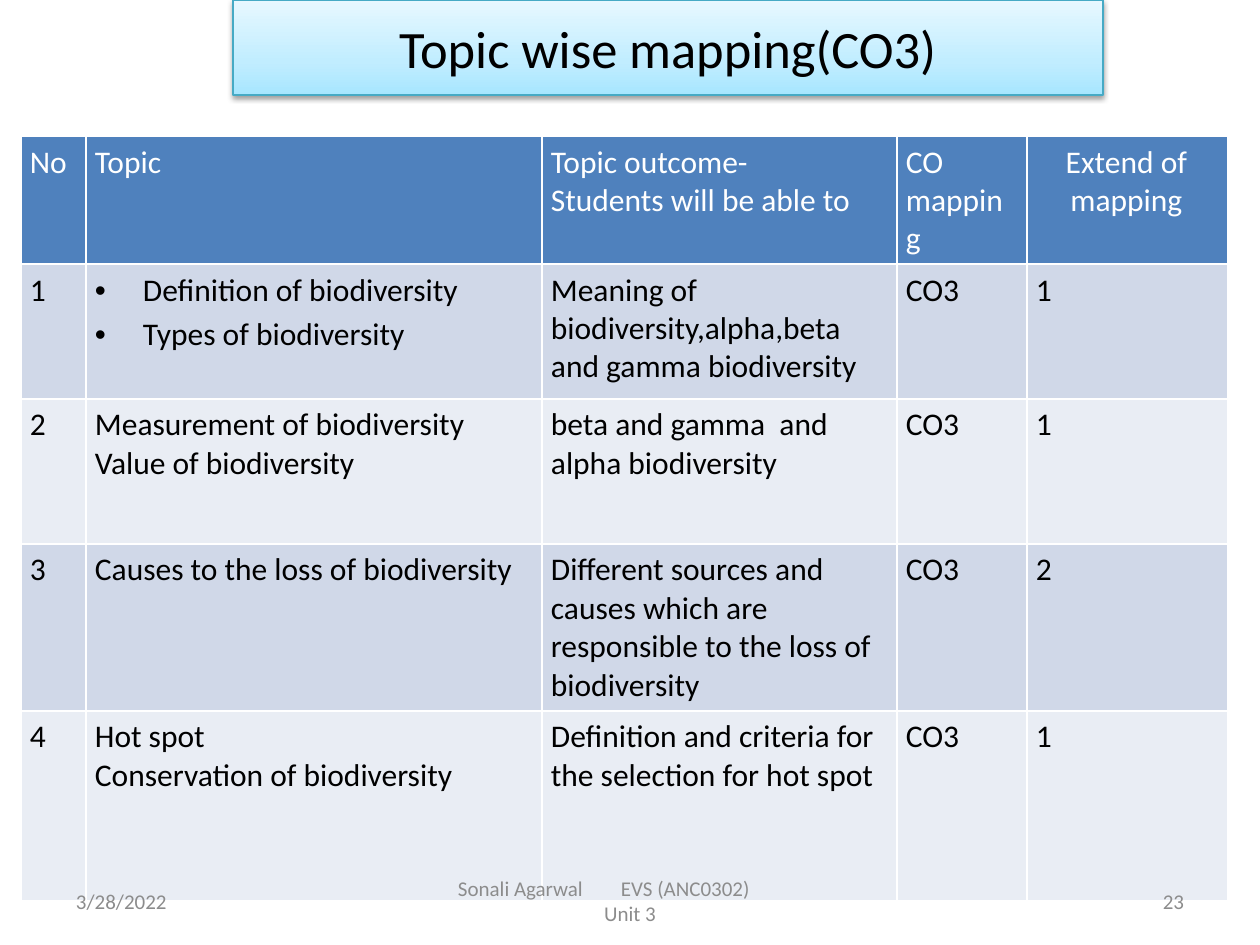
import pptx
import pptx.dml.color
import pptx.enum.text
import pptx.oxml
import pptx.oxml.ns
import pptx.util

ALIGN = pptx.enum.text.PP_ALIGN
ANCHOR = pptx.enum.text.MSO_ANCHOR
NAMESPACE = 'xmlns:a="http://schemas.openxmlformats.org/drawingml/2006/main"'
FONT = "Calibri"
WHITE, BLACK, GREY = "FFFFFF", "000000", "8C8C8C"
HEADER_FILL = "4F81BD"
BAND_FILLS = ("D0D8E8", "E9EDF4")

COLUMN_WIDTHS = (65, 456, 355, 130, 201)
ROW_HEIGHTS = (128, 135, 145, 167, 190)
HEADER = ("No", "Topic", "Topic outcome-\nStudents will be able to", "CO mapping", "Extend of mapping")
ROWS = (
    ("1", "Definition of biodiversity\nTypes of biodiversity",
     "Meaning of biodiversity,alpha,beta and gamma biodiversity", "CO3", "1"),
    ("2", "Measurement of biodiversity\nValue of biodiversity",
     "beta and gamma  and alpha biodiversity", "CO3", "1"),
    ("3", "Causes to the loss of biodiversity",
     "Different sources and causes which are responsible to the loss of biodiversity", "CO3", "2"),
    ("4", "Hot spot\nConservation of biodiversity",
     "Definition and criteria for the selection for hot spot", "CO3", "1"),
)


def px(length):
    return pptx.util.Emu(round(length * 914400 / 126))


def color(value):
    return pptx.dml.color.RGBColor.from_string(value)


def element(xml):
    tag, rest = xml[1:].split(" ", 1)
    return pptx.oxml.parse_xml(f"<{tag} {NAMESPACE} {rest}")


def write_text(frame, text, size=18, fill=BLACK, aligns=(ALIGN.LEFT,), bullet=False, tab=None):
    """Write one paragraph per line; the last alignment serves the remaining lines."""
    frame.word_wrap = True
    for index, line in enumerate(text.split("\n")):
        paragraph = frame.paragraphs[0] if index == 0 else frame.add_paragraph()
        paragraph.text = line
        paragraph.alignment = aligns[min(index, len(aligns) - 1)]
        properties = paragraph._p.get_or_add_pPr()
        if bullet:
            properties.set("marL", str(px(48)))
            properties.set("indent", str(-px(48)))
            if index:
                paragraph.space_before = pptx.util.Pt(3.6)
            properties.append(element('<a:buFont typeface="Arial"/>'))
            properties.append(element('<a:buChar char="•"/>'))
        if tab and "\t" in line:
            properties.append(element(f'<a:tabLst ><a:tab pos="{px(tab)}" algn="l"/></a:tabLst>'))
        paragraph.font.size = pptx.util.Pt(size)
        paragraph.font.name = FONT
        paragraph.font.color.rgb = color(fill)


def add_title(slide, left, top, width, height):
    title = slide.shapes.title
    title.left, title.top, title.width, title.height = map(px, (left, top, width, height))
    write_text(title.text_frame, "Topic wise mapping(CO3)", size=30, aligns=(ALIGN.CENTER,))
    title.text_frame.auto_size = pptx.enum.text.MSO_AUTO_SIZE.NONE
    title.text_frame.vertical_anchor = ANCHOR.MIDDLE

    # Gradient, dark at the bottom
    title.fill.gradient()
    title.fill.gradient_angle = 90
    properties = title._element.spPr
    stops = properties.find(".//" + pptx.oxml.ns.qn("a:gsLst"))
    stops.clear()
    for position, value in ((0, "A7E6FF"), (35, "C1EDFF"), (100, "E7F8FF")):
        stops.append(element(f'<a:gs pos="{position * 1000}"><a:srgbClr val="{value}"/></a:gs>'))

    title.line.color.rgb = color("46AAC5")
    title.line.width = pptx.util.Pt(0.75)

    # Soft shadow below
    blur, distance = pptx.util.Pt(3.1), pptx.util.Pt(1.6)
    properties.append(element(
        f'<a:effectLst ><a:outerShdw blurRad="{blur}" dist="{distance}" dir="5400000" rotWithShape="0">'
        f'<a:srgbClr val="{BLACK}"><a:alpha val="38000"/></a:srgbClr></a:outerShdw></a:effectLst>'))


def set_borders(cell, points=1):
    properties = cell._tc.get_or_add_tcPr()
    for index, side in enumerate("LRTB"):
        properties.insert(index, element(
            f'<a:ln{side} w="{pptx.util.Pt(points)}"><a:solidFill>'
            f'<a:srgbClr val="{WHITE}"/></a:solidFill></a:ln{side}>'))


def add_mapping_table(slide, left, top):
    table = slide.shapes.add_table(
        len(ROW_HEIGHTS), len(COLUMN_WIDTHS), px(left), px(top),
        px(sum(COLUMN_WIDTHS)), px(sum(ROW_HEIGHTS))).table
    for column, width in zip(table.columns, COLUMN_WIDTHS):
        column.width = px(width)
    for row, height in zip(table.rows, ROW_HEIGHTS):
        row.height = px(height)

    for row_index, texts in enumerate((HEADER, *ROWS)):
        is_header = row_index == 0
        for column_index, text in enumerate(texts):
            cell = table.cell(row_index, column_index)
            cell.margin_left, cell.margin_right = px(9), px(11)
            cell.margin_top, cell.margin_bottom = px(7), px(5)
            cell.fill.solid()
            cell.fill.fore_color.rgb = color(HEADER_FILL if is_header else BAND_FILLS[(row_index - 1) % 2])
            set_borders(cell)
            centred = is_header and column_index == len(HEADER) - 1
            write_text(cell.text_frame, text, fill=WHITE if is_header else BLACK,
                       aligns=(ALIGN.CENTER if centred else ALIGN.LEFT,),
                       bullet=(row_index, column_index) == (1, 1))


def add_footer(slide, left, top, width, height):
    """Date at the left, course in the middle, slide number at the right."""
    side_width, course_width = 294, 400
    parts = (
        (0, side_width, "3/28/2022", (ALIGN.LEFT,), 13),
        ((width - course_width) // 2, course_width, "Sonali Agarwal\tEVS (ANC0302)\nUnit 3",
         (ALIGN.LEFT, ALIGN.CENTER), 28),
        (width - side_width, side_width, "23", (ALIGN.RIGHT,), 13),
    )
    for offset, part_width, text, aligns, margin in parts:
        box = slide.shapes.add_textbox(px(left + offset), px(top), px(part_width), px(height))
        frame = box.text_frame
        frame.margin_left = frame.margin_right = px(margin)
        frame.vertical_anchor = ANCHOR.MIDDLE
        write_text(frame, text, size=12, fill=GREY, aligns=aligns, tab=163)


def main():
    presentation = pptx.Presentation()
    presentation.slide_width, presentation.slide_height = px(1260), px(945)
    slide = presentation.slides.add_slide(presentation.slide_layouts[5])
    add_title(slide, 233, 0, 870, 95)
    add_mapping_table(slide, 21, 136)
    add_footer(slide, 63, 876, 1134, 50)
    presentation.save("out.pptx")


if __name__ == "__main__":
    main()
